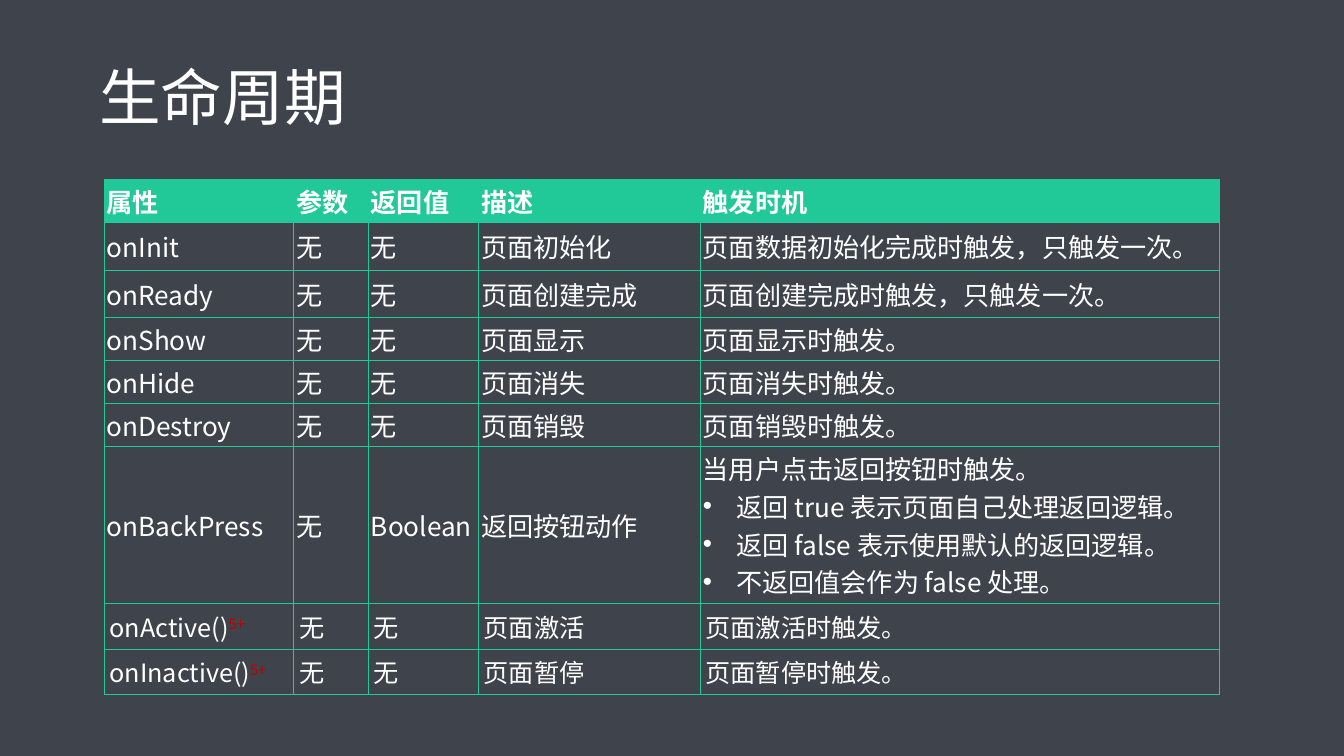
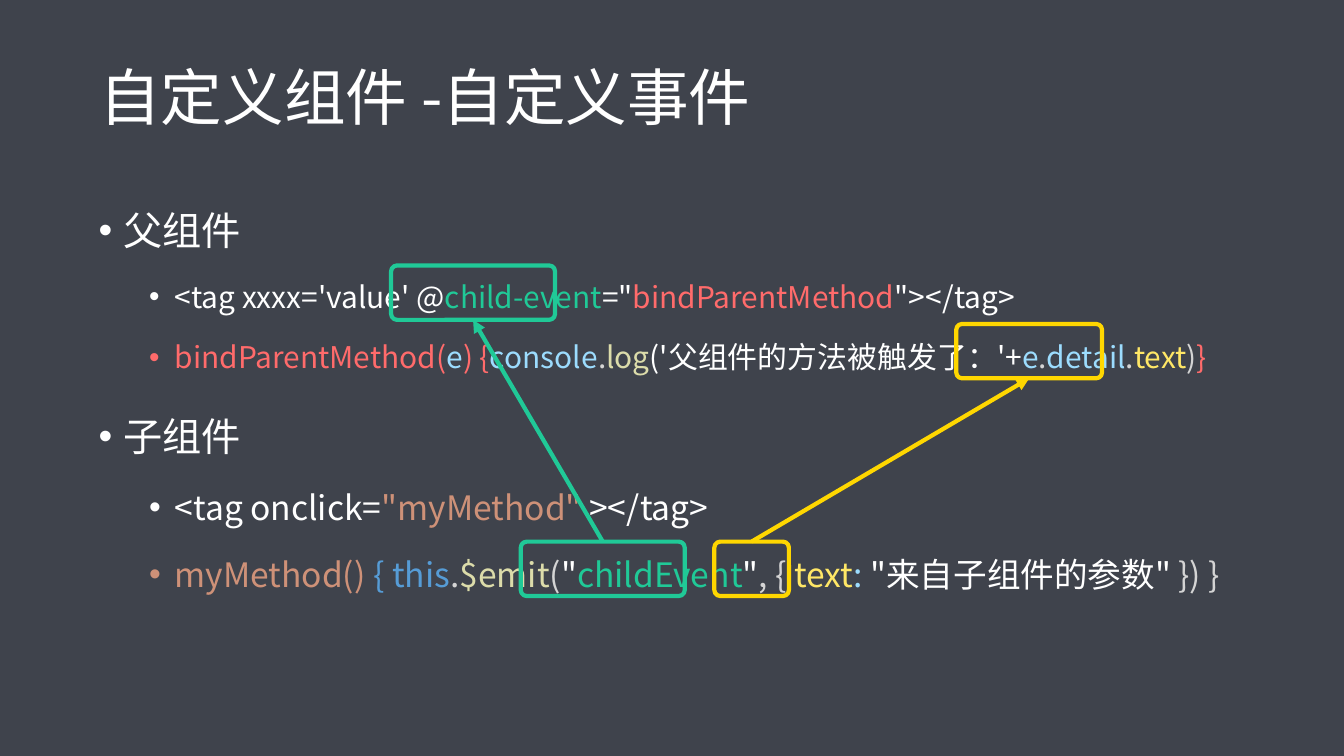
from pptx import Presentation, util as u
from pptx.dml.color import RGBColor
from pptx.enum import shapes, text
from pptx.oxml import parse_xml
from pptx.oxml.ns import nsdecls, qn

FACE = "Noto Sans CJK SC"
WIDE, HIGH = 20, 11.25
BACK, WHITE, GREEN, GOLD = "3F434C", "FFFFFF", "20C997", "FFD700"
RED, SKY, GREY, SAND = "FF6B6B", "9CDCFE", "D4D4D4", "DCDCAA"
LEMON, CLAY, BLUE, DARK = "FFE766", "CE9178", "569CD6", "C00000"

HEAD = ["属性", "参数", "返回值", "描述", "触发时机"]
NONE = "无"
BACKS = [
    "当用户点击返回按钮时触发。",
    "返回 true 表示页面自己处理返回逻辑。",
    "返回 false 表示使用默认的返回逻辑。",
    "不返回值会作为 false 处理。",
]
HOOKS = [
    ("onInit", NONE, NONE, "页面初始化", "页面数据初始化完成时触发，只触发一次。"),
    ("onReady", NONE, NONE, "页面创建完成", "页面创建完成时触发，只触发一次。"),
    ("onShow", NONE, NONE, "页面显示", "页面显示时触发。"),
    ("onHide", NONE, NONE, "页面消失", "页面消失时触发。"),
    ("onDestroy", NONE, NONE, "页面销毁", "页面销毁时触发。"),
    ("onBackPress", NONE, "Boolean", "返回按钮动作", BACKS),
]
NEW = [
    ("onActive()", NONE, NONE, "页面激活", "页面激活时触发。"),
    ("onInactive()", NONE, NONE, "页面暂停", "页面暂停时触发。"),
]
MARK = "5+"
COLS = [2.82, 1.11, 1.64, 3.3, 7.73]
ROWS = [0.64, 0.71, 0.7, 0.64, 0.64, 0.64, 2.34, 0.68, 0.67]

CODE = [
    (0, 42, [("父组件", WHITE)]),
    (1, 32, [("<tag xxxx='value' @", WHITE), ("child-event", GREEN), ('="', WHITE),
             ("bindParentMethod", RED), ('"></tag>', WHITE)]),
    (1, 32, [("bindParentMethod(", RED), ("e", SKY), (") {", RED), ("console", SKY),
             (".", GREY), ("log", SAND), ("('父组件的方法被触发了：'+", WHITE), ("e", SKY),
             (".", GREY), ("detail", SKY), (".", GREY), ("text", LEMON), (")", GREY),
             ("}", RED)]),
    (0, 42, [("子组件", WHITE)]),
    (1, 36, [("<tag onclick=", WHITE), ('"myMethod" ', CLAY), ("></tag>", WHITE)]),
    (1, 36, [("myMethod() ", CLAY), ("{ this", BLUE), (".", GREY), ("$emit", SAND),
             ("(", GREY), ('"', WHITE), ("childEvent", GREEN), ('"', WHITE),
             (", { ", GREY), ("text", LEMON), (": ", SKY),
             ('"来自子组件的参数" ', WHITE), ("}) }", GREY)]),
]
LEVELS = [(0.37, 15), (1.13, 7.5)]
LINKS = [
    (GREEN, (7.75, 8.06, 2.44), (5.82, 3.95, 2.44)),
    (GOLD, (10.63, 8.06, 1.11), (14.23, 4.82, 2.17)),
]
TALL = 0.81


def rgb(code):
    return RGBColor.from_string(code)


def style(para, size, bold=False):
    font = para.font
    font.name, font.size, font.bold = FACE, u.Pt(size), bold
    font.color.rgb = rgb(WHITE)


def bullet(para, left, hang):
    props = para._p.get_or_add_pPr()
    props.set("marL", str(u.Inches(left)))
    props.set("indent", str(-u.Inches(hang)))
    last = props.find(qn("a:defRPr"))
    for tag in ('buFont {} typeface="Arial"', 'buChar {} char="•"'):
        last.addprevious(parse_xml(f'<a:{tag.format(nsdecls("a"))}/>'))


def write(para, words, color=None):
    run = para.add_run()
    run.text = words
    if color:
        run.font.color.rgb = rgb(color)
    return run


def frame(slide, left, top, wide, high):
    box = slide.shapes.add_textbox(*map(u.Inches, (left, top, wide, high)))
    box.text_frame.word_wrap = True
    return box.text_frame


def start(deck, title):
    slide = deck.slides.add_slide(deck.slide_layouts[6])
    slide.background.fill.solid()
    slide.background.fill.fore_color.rgb = rgb(BACK)
    area = frame(slide, 1.38, 0.61, 17.24, 1.77)
    area.vertical_anchor = text.MSO_ANCHOR.MIDDLE
    para = area.paragraphs[0]
    para.line_spacing = 0.9
    style(para, 66)
    write(para, title)
    return slide


def border(cell):
    props = cell._tc.get_or_add_tcPr()
    for at, side in enumerate(("lnL", "lnR", "lnT", "lnB")):
        props.insert(at, parse_xml(
            f'<a:{side} {nsdecls("a")} w="{u.Pt(1)}"><a:solidFill>'
            f'<a:srgbClr val="{GREEN}"/></a:solidFill></a:{side}>'))


def fill(cell, lines, size, pads, head):
    side, edge = map(u.Inches, pads)
    cell.margin_left = cell.margin_right = side
    cell.margin_top = cell.margin_bottom = edge
    cell.vertical_anchor = text.MSO_ANCHOR.MIDDLE
    if head:
        cell.fill.solid()
        cell.fill.fore_color.rgb = rgb(GREEN)
    else:
        cell.fill.background()
    border(cell)
    area = cell.text_frame
    for n, line in enumerate(lines):
        para = area.add_paragraph() if n else area.paragraphs[0]
        style(para, size, head)
        if n:
            bullet(para, 0.5, 0.5)
        write(para, line)


def grid(slide):
    shape = slide.shapes.add_table(
        len(ROWS), len(COLS), *map(u.Inches, (1.55, 2.67, sum(COLS), sum(ROWS))))
    table = shape.table
    table.first_row = table.horz_banding = False
    for col, wide in zip(table.columns, COLS):
        col.width = u.Inches(wide)
    for row, high in zip(table.rows, ROWS):
        row.height = u.Inches(high)
    for r, row in enumerate([HEAD] + HOOKS + NEW):
        fresh = row in NEW
        size, pads = (27, (0.08, 0.07)) if fresh else (28, (0.04, 0.03))
        for c, item in enumerate(row):
            lines = item if isinstance(item, list) else [item]
            fill(table.cell(r, c), lines, size, pads, r == 0)
        if fresh:
            para = table.cell(r, 0).text_frame.paragraphs[0]
            run = write(para, MARK, DARK)
            run._r.get_or_add_rPr().set("baseline", "30000")


def code(slide):
    area = frame(slide, 1.37, 2.67, 17.24, 7.97)
    for n, (level, size, parts) in enumerate(CODE):
        para = area.add_paragraph() if n else area.paragraphs[0]
        left, gap = LEVELS[level]
        para.level = level
        para.line_spacing = 1.5
        para.space_before = u.Pt(gap)
        style(para, size)
        bullet(para, left, 0.38 if level else left)
        for words, color in parts:
            write(para, words, color)


def ring(slide, color, left, top, wide):
    shape = slide.shapes.add_shape(
        shapes.MSO_SHAPE.ROUNDED_RECTANGLE, *map(u.Inches, (left, top, wide, TALL)))
    shape.adjustments[0] = 0.11
    shape.shadow.inherit = False
    shape.fill.background()
    shape.line.color.rgb = rgb(color)
    shape.line.width = u.Pt(4.5)


def link(slide, color, child, parent):
    ends = (child[0] + child[2] / 2, child[1],
            parent[0] + parent[2] / 2, parent[1] + TALL)
    arrow = slide.shapes.add_connector(
        shapes.MSO_CONNECTOR.STRAIGHT, *map(u.Inches, ends))
    arrow.line.color.rgb = rgb(color)
    arrow.line.width = u.Pt(4.5)
    props = arrow._element.spPr
    props.find(qn("a:ln")).append(
        parse_xml(f'<a:tailEnd {nsdecls("a")} type="triangle"/>'))
    props.append(parse_xml(f'<a:effectLst {nsdecls("a")}/>'))


def east(slide):
    for latin in list(slide._element.iter(qn("a:latin"))):
        latin.addnext(parse_xml(f'<a:ea {nsdecls("a")} typeface="{FACE}"/>'))


def main():
    deck = Presentation()
    deck.slide_width, deck.slide_height = u.Inches(WIDE), u.Inches(HIGH)
    grid(start(deck, "生命周期"))
    slide = start(deck, "自定义组件 -自定义事件")
    code(slide)
    for color, child, parent in LINKS:
        ring(slide, color, *parent)
        ring(slide, color, *child)
        link(slide, color, child, parent)
    for slide in deck.slides:
        east(slide)
    deck.save("out.pptx")


if __name__ == "__main__":
    main()
